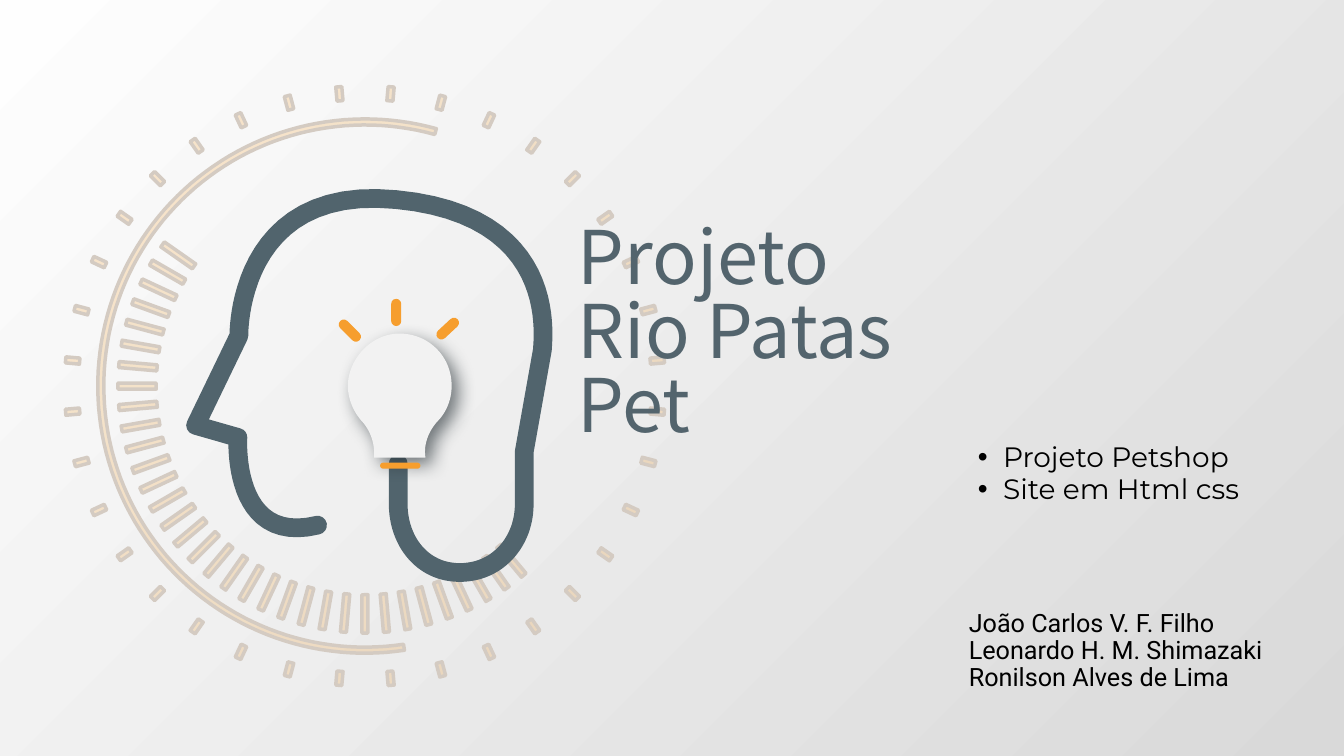
from math import cos, radians, sin

from lxml.etree import SubElement
from pptx import Presentation
from pptx.dml.color import RGBColor
from pptx.enum.shapes import MSO_SHAPE as Shape
from pptx.enum.text import MSO_ANCHOR as Anchor, PP_ALIGN as Align
from pptx.oxml.ns import qn
from pptx.util import Inches, Pt

COLORS = {
    "backdrop_dark": "D9D9D9",
    "backdrop_light": "FEFEFE",
    "dial": "EF8C07",
    "dial_edge": "D4CBC2",
    "head": "51646D",
    "bulb": "F2F2F2",
    "bulb_shadow": "283237",
    "glow": "F69E2E",
    "title": "53646D",
    "text": "000000",
}

HEAD = [
    [(3.95, 4.6)],
    [(3.95, 5)],
    [(3.95, 5.37), (4.19, 5.68), (4.56, 5.68)],
    [(4.94, 5.68), (5.2, 5.37), (5.2, 5)],
    [(5.2, 4.48)],
    [(5.38, 3.47)],
    [(5.39, 3.29), (5.52, 2.13), (3.93, 1.98)],
    [(2.34, 1.82), (2.37, 3.33), (2.37, 3.33)],
    [(1.94, 4.22)],
    [(2.36, 4.34)],
    [(2.36, 4.34), (2.29, 5.42), (3.15, 5.21)],
]
BULB = [
    [(4.48, 3.83)],
    [(4.48, 3.96), (4.43, 4.09), (4.34, 4.18)],
    [(4.25, 4.28), (4.2, 4.41), (4.22, 4.54)],
    [(3.71, 4.54)],
    [(3.72, 4.41), (3.68, 4.28), (3.59, 4.18)],
    [(3.5, 4.08), (3.45, 3.95), (3.45, 3.82)],
    [(3.46, 3.55), (3.69, 3.31), (3.96, 3.31)],
    [(4.1, 3.31), (4.23, 3.36), (4.33, 3.46)],
    [(4.43, 3.56), (4.48, 3.69), (4.48, 3.83)],
]
DIAL_CENTER = (3.62, 3.83)
TICK_WIDTH = 0.06


def trace(segments, steps=24):
    points = [segments[0][0]]
    for segment in segments[1:]:
        if len(segment) == 1:
            points.append(segment[0])
            continue
        corners = [points[-1], *segment]
        for step in range(1, steps + 1):
            t = step / steps
            weights = ((1 - t) ** 3, 3 * t * (1 - t) ** 2, 3 * t * t * (1 - t), t ** 3)
            points.append(tuple(sum(w * c[axis] for w, c in zip(weights, corners)) for axis in (0, 1)))
    return points


def on_dial(radius, angle, offset=0):
    a = radians(angle)
    return (DIAL_CENTER[0] + radius * sin(a) + offset * cos(a),
            DIAL_CENTER[1] - radius * cos(a) + offset * sin(a))


def tick(inner, outer, angle):
    half = TICK_WIDTH / 2
    corners = ((inner, -half), (outer, -half), (outer, half), (inner, half))
    return [on_dial(radius, angle, offset) for radius, offset in corners]


def dial_contours():
    minutes = [tick(2.84, 2.98, -2.5 + 10 * i) for i in range(36)]
    bars = [tick(2.07, 2.45, 162.5 + 5 * i) for i in range(34)]
    sweep = range(194, 399, 2)
    arc = [on_dial(2.59, a) for a in sweep] + [on_dial(2.65, a) for a in reversed(sweep)]
    return minutes + bars + [arc]


class Deck:
    def __init__(self):
        self.presentation = Presentation()
        self.presentation.slide_width = Inches(13.33)
        self.presentation.slide_height = Inches(7.5)
        self.slide = self.presentation.slides.add_slide(self.presentation.slide_layouts[5])
        self.shapes = self.slide.shapes

    def color(self, key):
        return RGBColor.from_string(COLORS[key])

    def backdrop(self, near, far):
        fill = self.slide.background.fill
        fill.gradient()
        for stop, key, position in zip(fill.gradient_stops, (near, far), (0, 1)):
            stop.color.rgb = self.color(key)
            stop.position = position
        gradient = self.slide.element.find(".//" + qn("a:gradFill"))
        gradient.remove(gradient.find(qn("a:lin")))
        circle = SubElement(gradient, qn("a:path"), {"path": "circle"})
        SubElement(circle, qn("a:fillToRect"), l="100000", t="100000")

    def paint(self, shape, fill=None, line=None, width=0):
        shape.shadow.inherit = False
        if fill:
            shape.fill.solid()
            shape.fill.fore_color.rgb = self.color(fill)
        else:
            shape.fill.background()
        if line:
            shape.line.color.rgb = self.color(line)
            shape.line.width = Pt(width)
        else:
            shape.line.fill.background()
        return shape

    def outline(self, contours, close=True, **paint):
        contours = [[(Inches(x), Inches(y)) for x, y in contour] for contour in contours]
        builder = self.shapes.build_freeform(*contours[0][0])
        for number, contour in enumerate(contours):
            if number:
                builder.move_to(*contour[0])
            builder.add_line_segments(contour[1:], close=close)
        return self.paint(builder.convert_to_shape(), **paint)

    def capsule(self, center_x, center_y, width, height, rotation, fill):
        pill = self.shapes.add_shape(
            Shape.ROUNDED_RECTANGLE, Inches(center_x - width / 2), Inches(center_y - height / 2),
            Inches(width), Inches(height))
        pill.adjustments[0] = 0.5
        pill.rotation = rotation
        return self.paint(pill, fill)

    def fade(self, shape, percent):
        tint = shape.element.spPr.find(qn("a:solidFill"))[0]
        SubElement(tint, qn("a:alpha"), val=str(percent * 1000))

    def round_ends(self, shape):
        stroke = shape.element.spPr.find(qn("a:ln"))
        stroke.set("cap", "rnd")
        SubElement(stroke, qn("a:round"))

    def cast_shadow(self, shape, key, percent, blur, distance, angle):
        effects = shape.element.spPr.find(qn("a:effectLst"))
        cast = SubElement(effects, qn("a:outerShdw"), blurRad=str(Pt(blur)), dist=str(Pt(distance)),
                          dir=str(angle * 60000), algn="tl", rotWithShape="0")
        tint = SubElement(cast, qn("a:srgbClr"), val=COLORS[key])
        SubElement(tint, qn("a:alpha"), val=str(percent * 1000))

    def add_lines(self, frame, lines, font, size, key, spacing, bullet=False):
        frame.word_wrap = True
        frame.vertical_anchor = Anchor.TOP
        for number, line in enumerate(lines):
            paragraph = frame.add_paragraph() if number else frame.paragraphs[0]
            paragraph.alignment = Align.LEFT
            paragraph.line_spacing = spacing
            if bullet:
                properties = paragraph._p.get_or_add_pPr()
                properties.set("marL", str(Inches(0.25)))
                properties.set("indent", str(Inches(-0.25)))
                SubElement(properties, qn("a:buFont"), typeface="Arial")
                SubElement(properties, qn("a:buChar"), char="•")
            run = paragraph.add_run()
            run.text = line
            run.font.name = font
            run.font.size = Pt(size)
            run.font.color.rgb = self.color(key)

    def text(self, left, top, width, height, lines, **style):
        box = self.shapes.add_textbox(Inches(left), Inches(top), Inches(width), Inches(height))
        self.add_lines(box.text_frame, lines, **style)

    def title(self, left, top, width, height, lines, **style):
        title = self.slide.shapes.title
        title.left, title.top = Inches(left), Inches(top)
        title.width, title.height = Inches(width), Inches(height)
        title.text_frame.margin_top = Inches(0.1)
        self.add_lines(title.text_frame, lines, **style)
        title.element.getparent().append(title.element)


def main():
    deck = Deck()
    deck.backdrop("backdrop_dark", "backdrop_light")

    dial = deck.outline(dial_contours(), fill="dial", line="dial_edge", width=2.5)
    dial.rotation = 337.5
    deck.fade(dial, 19)

    deck.shapes = deck.slide.shapes.add_group_shape().shapes
    head = deck.outline([trace(HEAD)], close=False, line="head", width=13.38)
    deck.round_ends(head)
    bulb = deck.outline([trace(BULB)], fill="bulb")
    deck.cast_shadow(bulb, "bulb_shadow", 64, 13, 7, 45)
    deck.capsule(3.97, 4.62, 0.4, 0.06, 0, "glow")
    for x, y, rotation in ((3.93, 3.1, 0), (4.44, 3.26, 47), (3.47, 3.28, -45)):
        deck.capsule(x, y, 0.1, 0.27, rotation, "glow")

    deck.shapes = deck.slide.shapes
    for number, topic in enumerate(("Projeto Petshop", "Site em Html css")):
        deck.text(9.6, 4.35 + 0.32 * number, 4.94, 0.32, [topic], font="Montserrat", size=20,
                  key="text", spacing=0.9, bullet=True)
    authors = ["João Carlos V. F. Filho", "Leonardo H. M. Shimazaki", "Ronilson Alves de Lima"]
    deck.text(9.51, 6.01, 3.49, 1.6, authors, font="Roboto", size=18, key="text", spacing=0.9)
    deck.title(5.63, 2.14, 5.43, 2.27, ["Projeto", "Rio Patas", "Pet"], font="Noto Sans CJK SC",
               size=52.8, key="title", spacing=0.83)
    deck.presentation.save("out.pptx")


if __name__ == "__main__":
    main()
